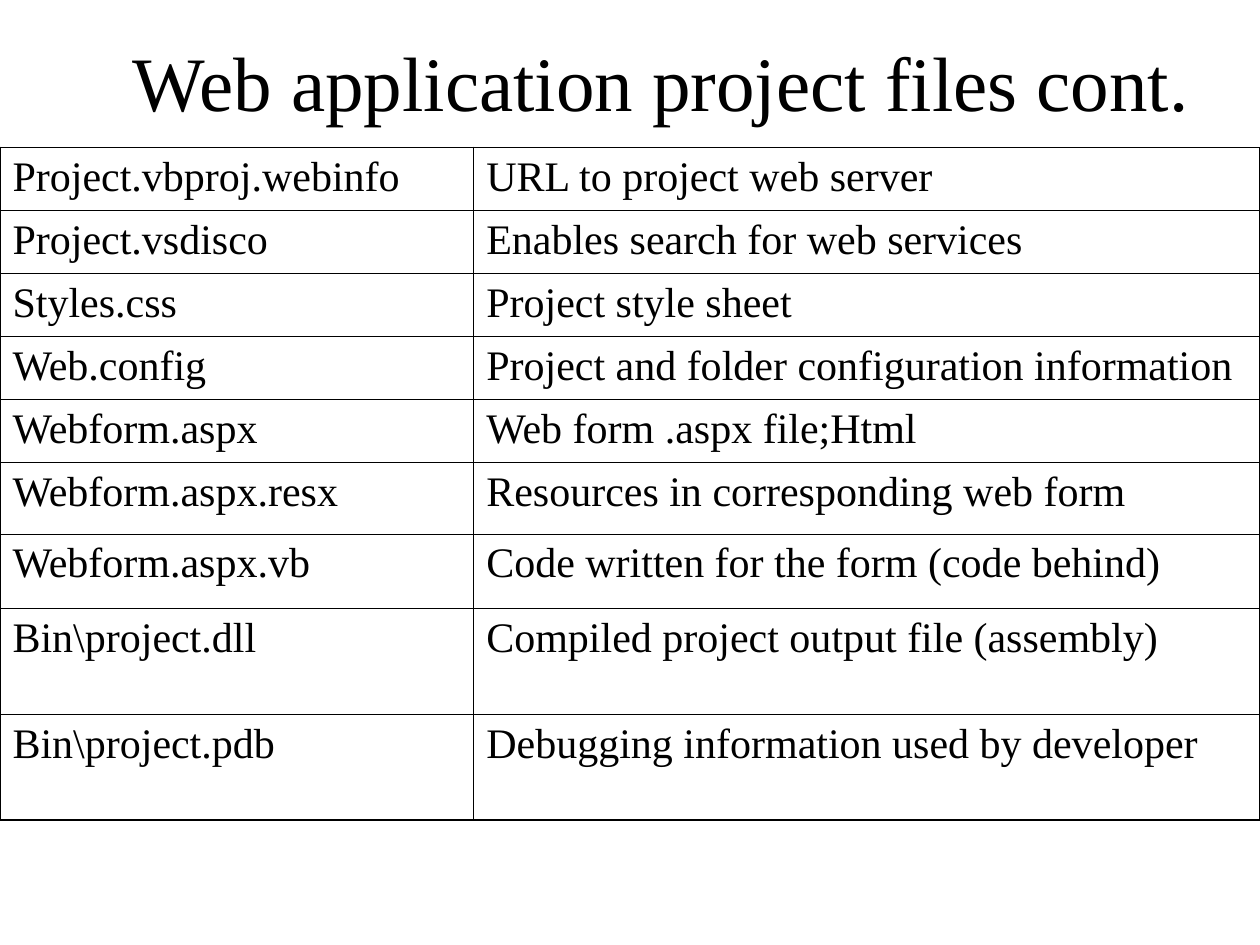
from dataclasses import dataclass

from lxml import etree
from pptx import Presentation
from pptx import util as u
from pptx.dml.color import RGBColor
from pptx.enum import text
from pptx.oxml.ns import qn
from pptx.slide import Slide

WIDTH, HEIGHT = 10, 7.5
FILES = [
    ("Project.vbproj.webinfo", "URL to project web server"),
    ("Project.vsdisco", "Enables search for web services"),
    ("Styles.css", "Project style sheet"),
    ("Web.config", "Project and folder configuration information"),
    ("Webform.aspx", "Web form .aspx file;Html"),
    ("Webform.aspx.resx", "Resources in corresponding web form"),
    ("Webform.aspx.vb", "Code written for the form (code behind)"),
    ("Bin\\project.dll", "Compiled project output file (assembly)"),
    ("Bin\\project.pdb", "Debugging information used by developer"),
]
ROW_HEIGHTS = [0.5] * 5 + [0.57, 0.59] + [0.84] * 2
COLUMN_SHARES = [0.376, 0.624]


def color(value):
    return RGBColor.from_string(value)


def apply(target, values):
    for name, value in values.items():
        setattr(target, name, value)


@dataclass
class Page:
    slide: Slide
    font: str = "Times New Roman"
    ink: str = "000000"
    paper: str = "FFFFFF"
    outer: float = 1.08
    inner: float = 0.45

    def background(self):
        fill = self.slide.background.fill
        fill.solid()
        fill.fore_color.rgb = color(self.paper)

    def add_words(self, frame, words, size, align):
        para = frame.paragraphs[0]
        para.alignment = align
        span = para.add_run()
        span.text = words
        apply(span.font, {"name": self.font, "size": u.Pt(size), "bold": False})
        span.font.color.rgb = color(self.ink)

    def title(self, words, left, top, width, height):
        box = self.slide.shapes.title
        apply(box, {
            "left": u.Inches(left * WIDTH),
            "top": u.Inches(top * HEIGHT),
            "width": u.Inches(width * WIDTH),
            "height": u.Inches(height * HEIGHT),
        })
        apply(box.text_frame, {
            "vertical_anchor": text.MSO_ANCHOR.MIDDLE,
            "auto_size": text.MSO_AUTO_SIZE.NONE,
            "word_wrap": True,
        })
        self.add_words(box.text_frame, words, 44, text.PP_ALIGN.CENTER)

    def borders(self, cell, weights):
        properties = cell._tc.get_or_add_tcPr()
        for position, (side, weight) in enumerate(weights.items()):
            line = etree.Element(qn(f"a:ln{side}"), w=str(u.Pt(weight)))
            fill = etree.SubElement(line, qn("a:solidFill"))
            etree.SubElement(fill, qn("a:srgbClr"), val=self.ink)
            properties.insert(position, line)

    def table(self, rows, top, shares, heights):
        frame = self.slide.shapes.add_table(
            len(rows), len(shares), 0, u.Inches(top * HEIGHT),
            u.Inches(WIDTH), u.Inches(sum(heights)))
        grid = frame.table
        apply(grid, {"first_row": False, "horz_banding": False})
        for column, share in zip(grid.columns, shares):
            column.width = u.Inches(share * WIDTH)
        for row, height in zip(grid.rows, heights):
            row.height = u.Inches(height)
        last_row, last_column = len(rows) - 1, len(shares) - 1
        for r, entries in enumerate(rows):
            for c, words in enumerate(entries):
                cell = grid.cell(r, c)
                cell.fill.background()
                edges = {"L": c == 0, "R": c == last_column,
                         "T": r == 0, "B": r == last_row}
                self.borders(cell, {side: self.outer if edge else self.inner
                                    for side, edge in edges.items()})
                self.add_words(cell.text_frame, words, 24, text.PP_ALIGN.LEFT)


def main():
    deck = Presentation()
    apply(deck, {"slide_width": u.Inches(WIDTH), "slide_height": u.Inches(HEIGHT)})
    page = Page(deck.slides.add_slide(deck.slide_layouts.get_by_name("Title Only")))
    page.background()
    page.title("Web application project files cont.", 0.075, 0.03, 0.9, 0.11)
    page.table(FILES, 0.156, COLUMN_SHARES, ROW_HEIGHTS)
    deck.save("out.pptx")


if __name__ == "__main__":
    main()
